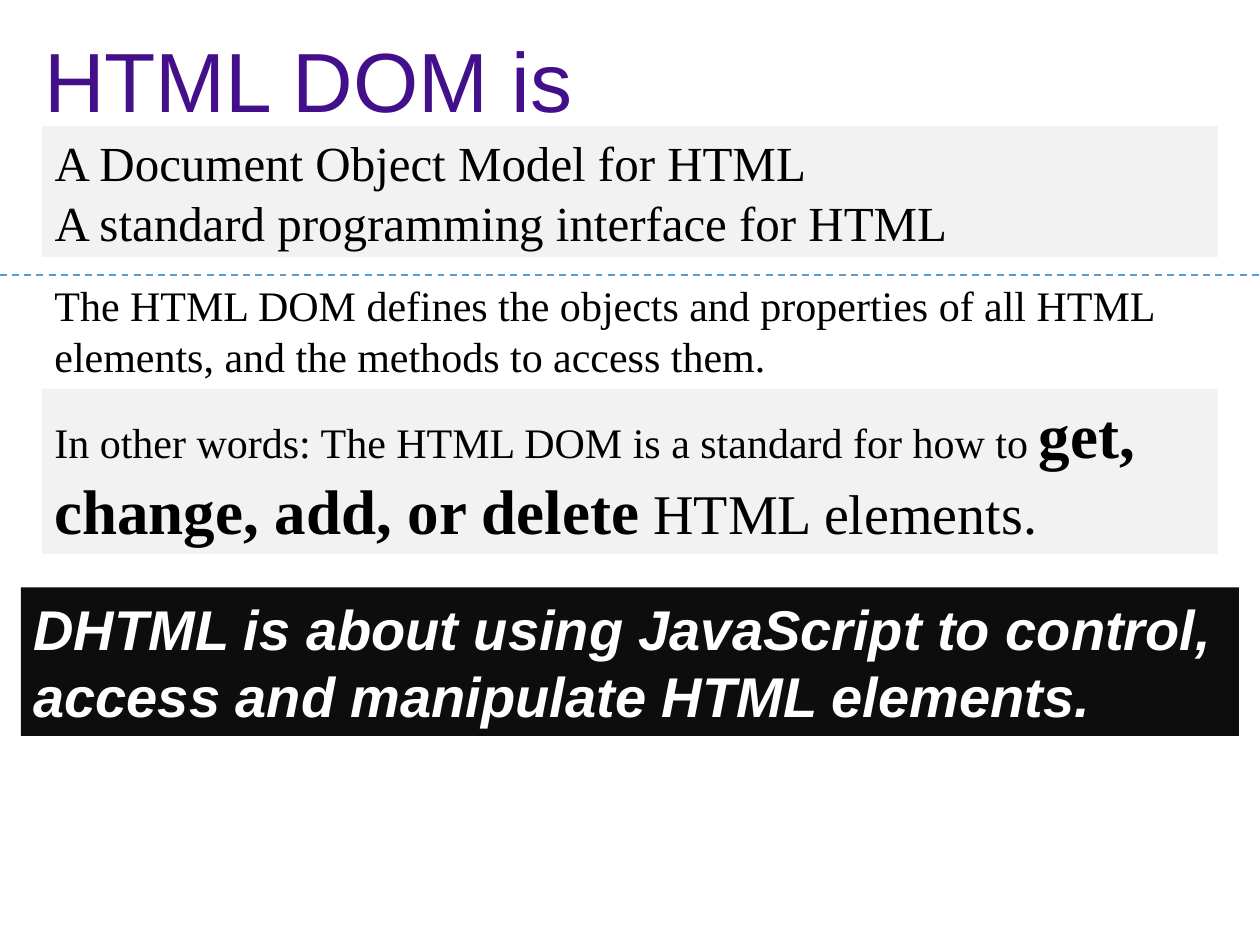
"""Build a slide that explains what the HTML DOM is."""
import pptx
import pptx.dml.color
import pptx.enum.dml
import pptx.enum.shapes
import pptx.enum.text
import pptx.oxml
import pptx.util
from dataclasses import dataclass

Pt = pptx.util.Pt
RGB = pptx.dml.color.RGBColor.from_string


@dataclass(frozen=True)
class Theme:
    heading_font: str = "Arial"
    body_font: str = "Times New Roman"
    purple: str = "440F8B"
    black: str = "000000"
    white: str = "FFFFFF"
    panel: str = "F2F2F2"
    banner: str = "0D0D0D"
    divider: str = "5B9BD5"
    title_size: int = 48
    emphasis_size: int = 36
    large_size: int = 32
    list_size: int = 28
    text_size: int = 24
    leading: float = 1.21


theme = Theme()


def place(box, left, top, width, height, fill=None):
    box.left, box.top, box.width, box.height = Pt(left), Pt(top), Pt(width), Pt(height)
    if fill:
        box.fill.solid()
        box.fill.fore_color.rgb = RGB(fill)


def write(box, paragraphs, font, color, italic=False):
    frame = box.text_frame
    frame.word_wrap = True
    frame.auto_size = pptx.enum.text.MSO_AUTO_SIZE.NONE
    frame.vertical_anchor = pptx.enum.text.MSO_ANCHOR.TOP
    for index, spans in enumerate(paragraphs):
        para = frame.add_paragraph() if index else frame.paragraphs[0]
        para.alignment = pptx.enum.text.PP_ALIGN.LEFT
        para.space_before = Pt(0)
        para.line_spacing = Pt(round(theme.leading * max(size for _, size, _ in spans), 2))
        for text, size, bold in spans:
            span = para.add_run()
            span.text = text
            span.font.name = font
            span.font.size = Pt(size)
            span.font.bold = bold
            span.font.italic = italic
            span.font.color.rgb = RGB(color)


deck = pptx.Presentation()
deck.slide_width, deck.slide_height = Pt(720), Pt(540)
page = deck.slides.add_slide(deck.slide_layouts[1])
left, width = 24, 672

title = page.shapes.title
place(title, 18, 12, 678, 65.5)
write(title, [[("HTML DOM is", theme.title_size, False)]], theme.heading_font, theme.purple)

meanings = page.placeholders[1]
place(meanings, left, 72, width, 75, theme.panel)
write(meanings, [
    [("A Document Object Model for HTML", theme.list_size, False)],
    [("A standard programming interface for HTML", theme.list_size, False)],
], theme.body_font, theme.black)
for para in meanings.text_frame.paragraphs:
    properties = para._p.get_or_add_pPr()
    properties.set("marL", "0")
    properties.set("indent", "0")
    properties.append(pptx.oxml.parse_xml(
        '<a:buNone xmlns:a="http://schemas.openxmlformats.org/drawingml/2006/main"/>'))

definition = page.shapes.add_textbox(0, 0, 0, 0)
place(definition, left, 156, width, 65.5)
write(definition, [[
    ("The HTML DOM defines the objects and properties of all HTML elements, "
     "and the methods to access them.", theme.text_size, False),
]], theme.body_font, theme.black)

divider = page.shapes.add_connector(
    pptx.enum.shapes.MSO_CONNECTOR.STRAIGHT, Pt(0), Pt(157), Pt(720), Pt(157))
divider.line.color.rgb = RGB(theme.divider)
divider.line.width = Pt(1)
divider.line.dash_style = pptx.enum.dml.MSO_LINE.DASH
divider._element.spPr.append(pptx.oxml.parse_xml(
    '<a:effectLst xmlns:a="http://schemas.openxmlformats.org/drawingml/2006/main"/>'))

summary = [
    ("In other words: The HTML DOM is a standard for how to ", theme.text_size, False),
    ("get, change, add, or delete", theme.emphasis_size, True),
    (" ", theme.large_size, True),
    ("HTML elements.", theme.large_size, False),
]
conclusion = [
    ("DHTML is about using JavaScript to control, access and manipulate HTML elements.",
     theme.large_size, True),
]
panels = [
    ((left, 222, width, 94.3, theme.panel), summary, theme.body_font, theme.black, False),
    ((12, 335.7, 696, 84.8, theme.banner), conclusion, theme.heading_font, theme.white, True),
]
for bounds, spans, font, color, italic in panels:
    panel = page.shapes.add_shape(pptx.enum.shapes.MSO_SHAPE.RECTANGLE, 0, 0, 0, 0)
    place(panel, *bounds)
    panel.line.fill.background()
    panel.shadow.inherit = False
    write(panel, [spans], font, color, italic)

deck.save("out.pptx")
